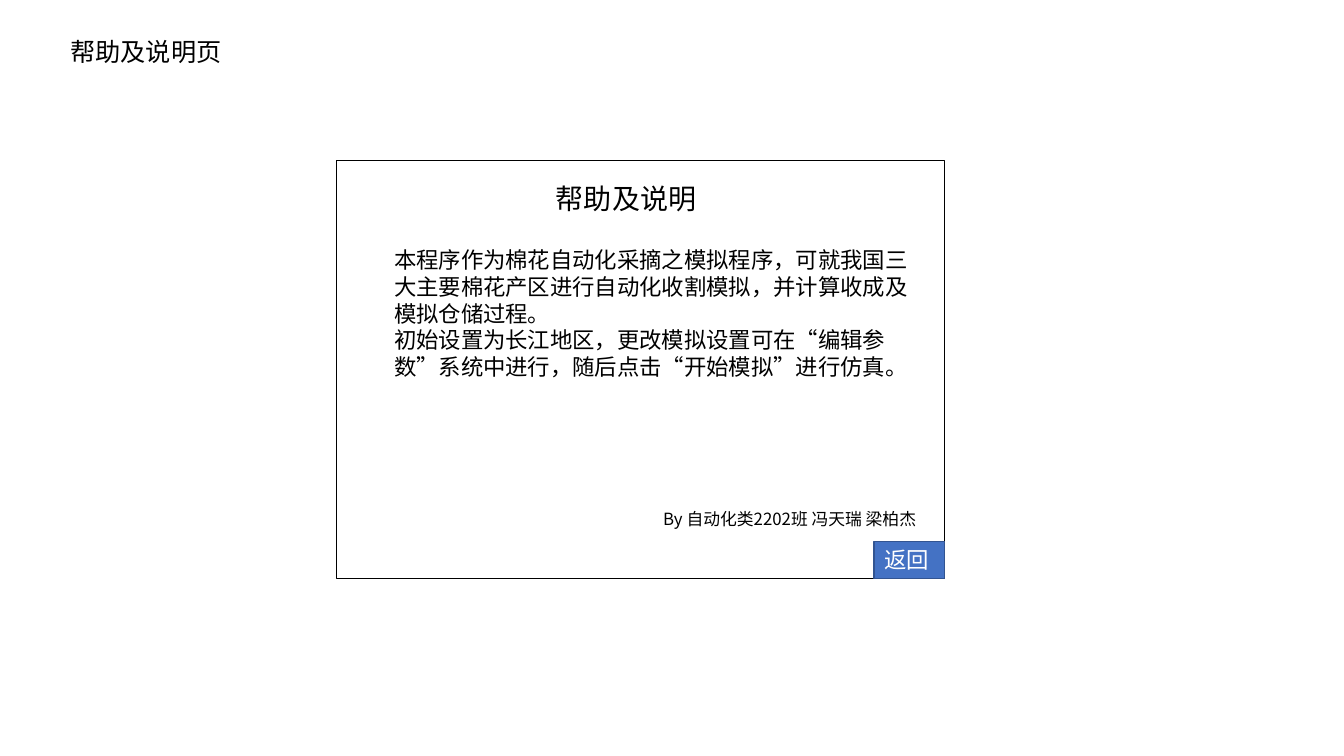
from pptx import Presentation
from pptx.dml.color import RGBColor
from pptx.enum.shapes import MSO_SHAPE
from pptx.enum.text import MSO_ANCHOR, PP_ALIGN
from pptx.oxml.ns import qn
from pptx.util import Inches, Pt
from lxml.etree import SubElement

COLORS = {"ink": "000000", "paper": "FFFFFF", "button": "4472C4", "edge": "325491"}
FONT = "Noto Sans CJK SC"
HELP_TEXT = [
    "本程序作为棉花自动化采摘之模拟程序，可就我国三大主要棉花产区进行自动化收割模拟，并计算收成及模拟仓储过程。",
    "初始设置为长江地区，更改模拟设置可在“编辑参数”系统中进行，随后点击“开始模拟”进行仿真。",
]


def color(name):
    """Return the named colour."""
    return RGBColor.from_string(COLORS[name])


def write(box, paragraphs, size, ink="ink", align=PP_ALIGN.LEFT):
    """Write formatted paragraphs into a box."""
    frame = box.text_frame
    frame.word_wrap = True
    frame.vertical_anchor = MSO_ANCHOR.TOP
    for index, text in enumerate(paragraphs):
        para = frame.add_paragraph() if index else frame.paragraphs[0]
        para.alignment = align
        span = para.add_run()
        span.text = text
        span.font.name = FONT
        span.font.size = Pt(size)
        span.font.color.rgb = color(ink)
        SubElement(span.font._element, qn("a:ea"), typeface=FONT)


def add_text(page, paragraphs, left, top, width, height, **style):
    """Add a text box with its paragraphs."""
    box = page.shapes.add_textbox(Inches(left), Inches(top), Inches(width), Inches(height))
    write(box, paragraphs, **style)


def add_rectangle(page, left, top, width, height, edge, fill=None):
    """Add an outlined rectangle with an optional fill."""
    box = page.shapes.add_shape(
        MSO_SHAPE.RECTANGLE, Inches(left), Inches(top), Inches(width), Inches(height)
    )
    box.shadow.inherit = False
    if fill:
        box.fill.solid()
        box.fill.fore_color.rgb = color(fill)
    else:
        box.fill.background()
    box.line.color.rgb = color(edge)
    box.line.width = Pt(1)
    return box


def add_help_window(page, left, top, width, height):
    """Draw the help window with its title, text, authors and return button."""
    add_rectangle(page, left, top, width, height, edge="ink")
    button_width, button_height = 0.7, 0.37
    button = add_rectangle(
        page, left + width - button_width, top + height - button_height,
        button_width, button_height, edge="edge", fill="button",
    )
    write(button, ["返回"], size=16, ink="paper")
    add_text(page, ["帮助及说明"], left + 1.5, top + 0.16, 2.74, 0.44,
             size=20, align=PP_ALIGN.CENTER)
    add_text(page, HELP_TEXT, left + 0.47, top + 0.8, 5.35, 1.45, size=16)
    add_text(page, ["By 自动化类2202班 冯天瑞 梁柏杰"],
             left + 3.14, top + 3.41, 2.8, 0.3, size=12)


def build_help_page(deck):
    """Add the help page to the deck."""
    page = deck.slides.add_slide(deck.slide_layouts[6])
    add_text(page, ["帮助及说明页"], 0.6, 0.31, 2.13, 0.4, size=18)
    add_help_window(page, 3.34, 1.59, 6.03, 4.15)


deck = Presentation()
deck.slide_width, deck.slide_height = Inches(13.33), Inches(7.5)
build_help_page(deck)
deck.save("out.pptx")
